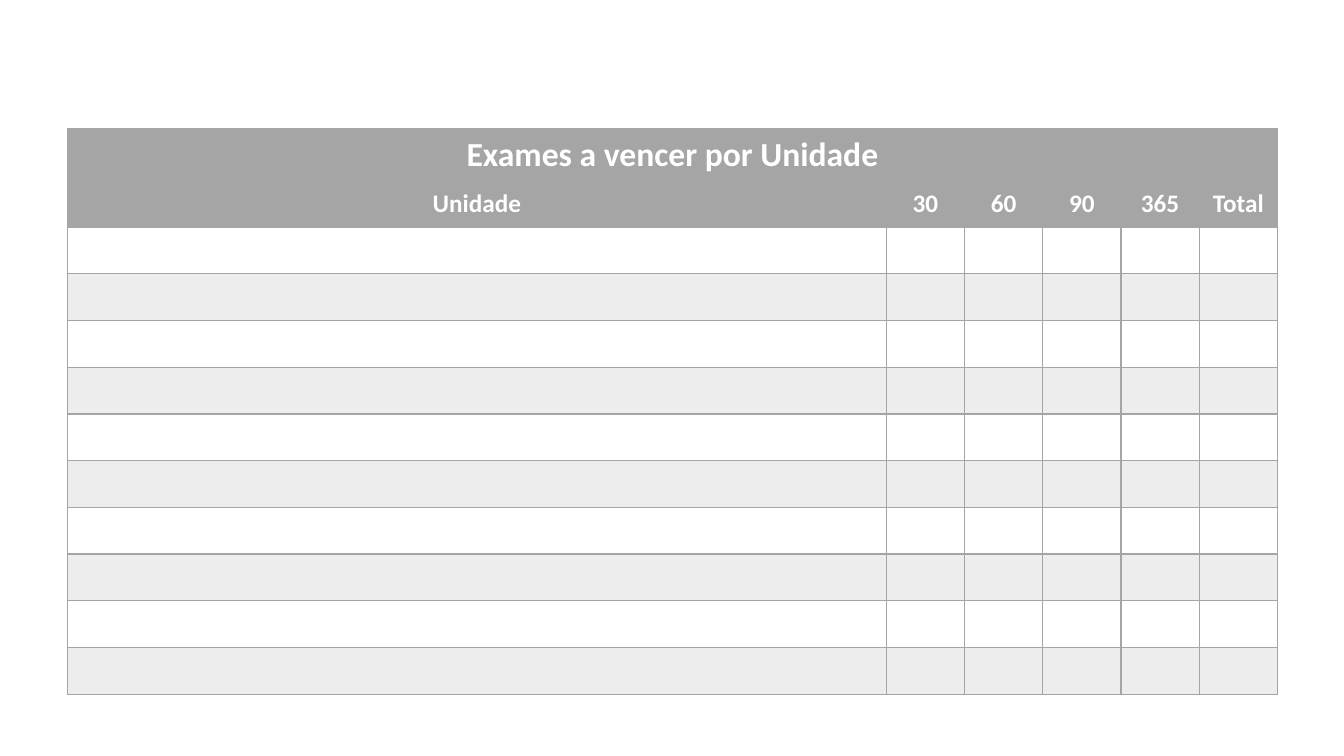
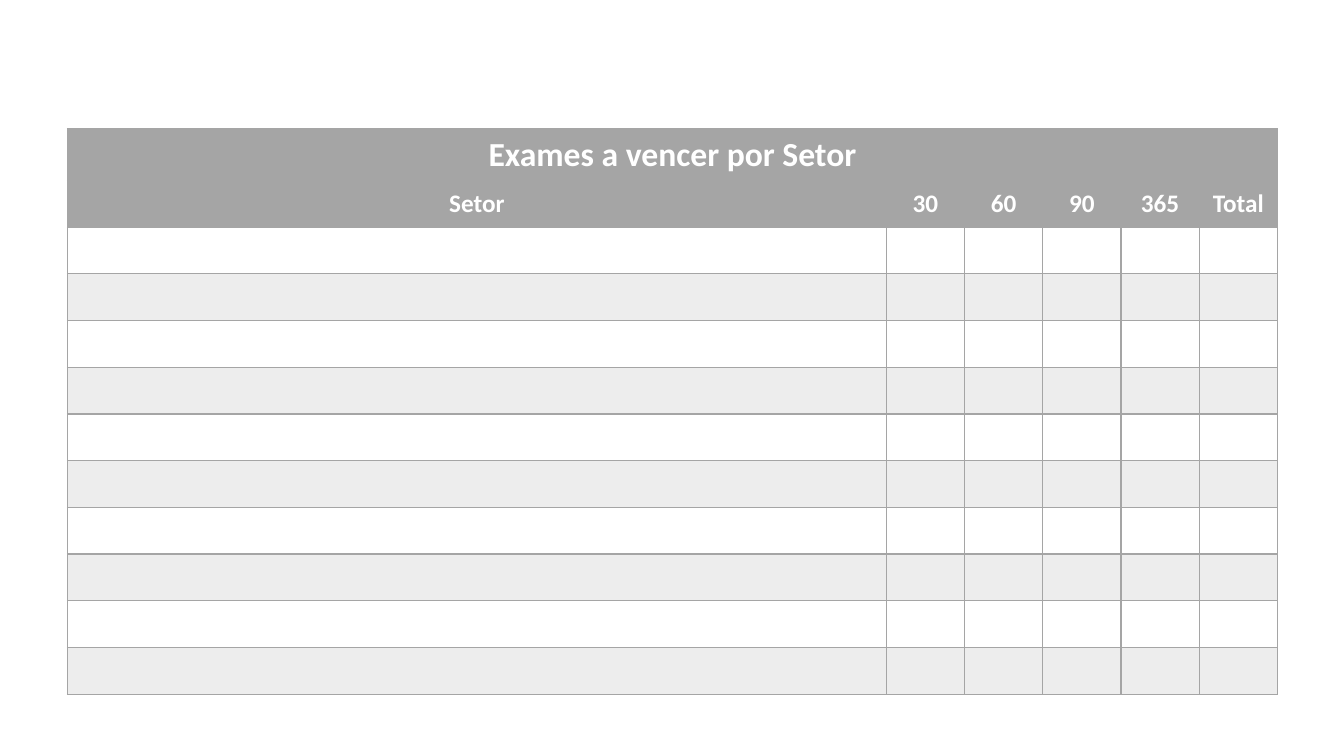
from lxml import etree
from pptx import Presentation
from pptx import util as u
from pptx.dml.color import RGBColor
from pptx.enum import shapes, text
from pptx.oxml.ns import qn

WHITE, GREY = "FFFFFF", "A5A5A5"
PERIODS = ["30", "60", "90", "365", "Total"]
EMPTY_ROWS = 10


def color(value):
    return RGBColor.from_string(value)


def paint(fill, value, opacity=100):
    """Fill with a solid colour; opacity is a percentage."""
    fill.solid()
    fill.fore_color.rgb = color(value)
    if opacity < 100:
        for node in fill._xPr.iter(qn("a:srgbClr")):
            etree.SubElement(node, qn("a:alpha"), val=str(opacity * 1000))


class ReportDeck:
    font = "Calibri"

    def __init__(self):
        self.deck = Presentation()
        self.deck.slide_width = u.Inches(13.33)
        self.deck.slide_height = u.Inches(7.5)
        self.page = None

    def add_page(self):
        self.page = self.deck.slides.add_slide(self.deck.slide_layouts[6])

    def add_panel(self, left, top, width, height):
        panel = self.page.shapes.add_shape(
            shapes.MSO_SHAPE.RECTANGLE, u.Inches(left), u.Inches(top),
            u.Inches(width), u.Inches(height))
        panel.shadow.inherit = False
        paint(panel.fill, WHITE, 90)
        panel.line.color.rgb = color(WHITE)
        panel.line.width = u.Pt(1)

    def add_borders(self, cell):
        properties = cell._tc.get_or_add_tcPr()
        for side in ("lnL", "lnR", "lnT", "lnB"):
            line = etree.SubElement(properties, qn(f"a:{side}"), w=str(u.Pt(1)))
            solid = etree.SubElement(line, qn("a:solidFill"))
            etree.SubElement(solid, qn("a:srgbClr"), val=GREY)

    def write_header(self, cell, label, size):
        cell.text = label
        cell.vertical_anchor = text.MSO_ANCHOR.MIDDLE
        para = cell.text_frame.paragraphs[0]
        para.alignment = text.PP_ALIGN.CENTER
        para.font.name = self.font
        para.font.size = u.Pt(size)
        para.font.bold = True
        para.font.color.rgb = color(WHITE)

    def add_table(self, title, headings, left, top, width, height,
                  first_width, title_height):
        """Add a title row, a heading row and striped empty rows."""
        row_count = EMPTY_ROWS + 2
        frame = self.page.shapes.add_table(
            row_count, len(headings), u.Inches(left), u.Inches(top),
            u.Inches(width), u.Inches(height))
        table = frame.table
        table.first_row = table.horz_banding = False

        other_width = (width - first_width) / (len(headings) - 1)
        for index, column in enumerate(table.columns):
            column.width = u.Inches(other_width if index else first_width)
        other_height = (height - title_height) / (row_count - 1)
        for index, row in enumerate(table.rows):
            row.height = u.Inches(other_height if index else title_height)
            for cell in row.cells:
                self.add_borders(cell)
                if index < 2:
                    paint(cell.fill, GREY)
                elif index % 2:
                    paint(cell.fill, GREY, 20)
                else:
                    cell.fill.background()

        table.cell(0, 0).merge(table.cell(0, len(headings) - 1))
        self.write_header(table.cell(0, 0), title, 24)
        for index, heading in enumerate(headings):
            self.write_header(table.cell(1, index), heading, 18)

    def add_report(self, group):
        self.add_page()
        self.add_panel(0.45, 0.94, 12.43, 6.28)
        self.add_table(f"Exames a vencer por {group}", [group] + PERIODS,
                       0.67, 1.28, 12, 5.61, first_width=8.12, title_height=0.51)


def main():
    report = ReportDeck()
    for group in ("Unidade", "Setor"):
        report.add_report(group)
    report.deck.save("out.pptx")


if __name__ == "__main__":
    main()
